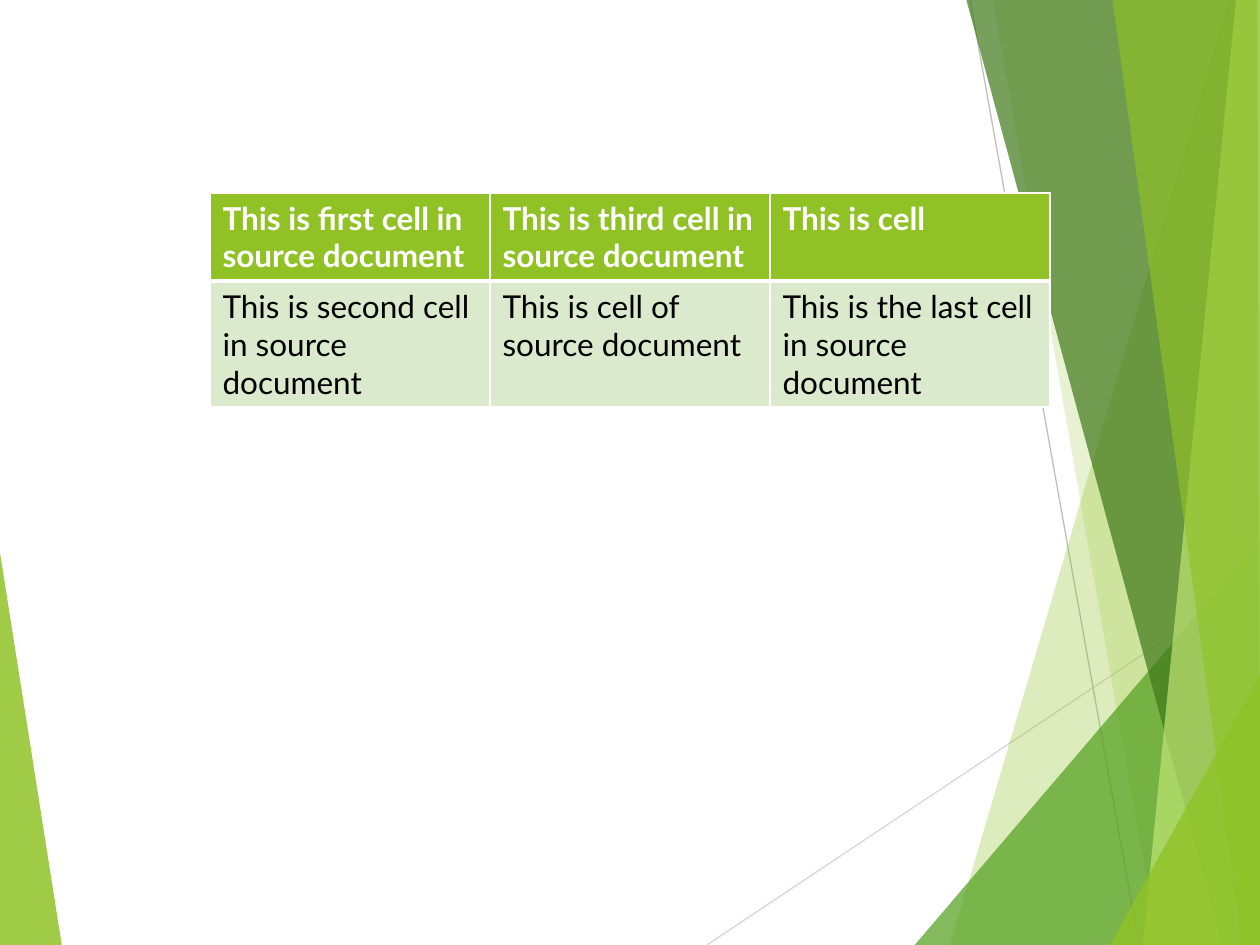
from dataclasses import dataclass
from lxml import etree
from pptx import Presentation
from pptx import util as u
from pptx.dml.color import RGBColor
from pptx.enum import shapes
from pptx.oxml import ns

LIME = "90C226"
WHITE = "FFFFFF"
FONT = "Lato"
Point = tuple[float, float]


@dataclass(frozen=True)
class Facet:
    corners: tuple[Point, ...]
    colour: str
    opacity: int


@dataclass(frozen=True)
class Ray:
    start: Point
    end: Point
    colour: str


@dataclass(frozen=True)
class RowStyle:
    texts: tuple[str, ...]
    fill: str
    colour: str
    bold: bool
    bottom_border: float


LEFT_FACET = Facet(((0, 58.5), (4.9, 100), (0, 100)), LIME, 85)
RAYS = (
    Ray((56.1, 100), (100, 61), "D9D9D9"),
    Ray((77, 0), (90.4, 100), "BFBFBF"),
)
RIGHT_FACETS = (
    Facet(((97.5, 0), (75.4, 100), (100, 100), (100, 0)), LIME, 30),
    Facet(((78.8, 0), (91.9, 100), (100, 100), (100, 0)), LIME, 20),
    Facet(((72.6, 100), (100, 57.2), (100, 100)), "54A021", 72),
    Facet(((76.7, 0), (97, 100), (100, 100), (100, 0)), "3F7819", 70),
    Facet(((98.1, 0), (90.7, 100), (100, 100), (100, 0)), "C0E474", 70),
    Facet(((88.3, 0), (98.6, 100), (100, 100), (99.8, 0)), LIME, 65),
    Facet(((88.1, 100), (100, 71.4), (100, 100)), LIME, 80),
)
ROWS = (
    RowStyle(("This is first cell in source document",
              "This is third cell in source document",
              "This is cell"), LIME, WHITE, True, 3),
    RowStyle(("This is second cell in source document",
              "This is cell of source document",
              "This is the last cell in source document"), "DBE9CD", "000000", False, 1),
)

presentation = Presentation()
presentation.slide_width = u.Inches(10)
presentation.slide_height = u.Inches(7.5)
slide = presentation.slides.add_slide(presentation.slide_layouts[6])


def rgb(colour: str) -> RGBColor:
    return RGBColor.from_string(colour)


def locate(point: Point) -> tuple[int, int]:
    across, down = point
    return (round(presentation.slide_width * across / 100),
            round(presentation.slide_height * down / 100))


def draw_facet(facet: Facet) -> None:
    first, *others = map(locate, facet.corners)
    builder = slide.shapes.build_freeform(*first)
    builder.add_line_segments(others, close=True)
    shape = builder.convert_to_shape()
    shape.shadow.inherit = False
    shape.fill.solid()
    shape.fill.fore_color.rgb = rgb(facet.colour)
    shape.line.fill.background()
    colour = shape.fill._xPr.find(".//" + ns.qn("a:srgbClr"))
    etree.SubElement(colour, ns.qn("a:alpha"), val=str(facet.opacity * 1000))


def draw_ray(ray: Ray) -> None:
    connector = slide.shapes.add_connector(
        shapes.MSO_CONNECTOR.STRAIGHT, *locate(ray.start), *locate(ray.end))
    connector.line.color.rgb = rgb(ray.colour)
    connector.line.width = u.Pt(0.75)
    etree.SubElement(connector._element.spPr, ns.qn("a:effectLst"))


def set_borders(cell, bottom: float, top: float) -> None:
    properties = cell._tc.get_or_add_tcPr()
    for index, (side, width) in enumerate(
            (("lnL", 1), ("lnR", 1), ("lnT", top), ("lnB", bottom))):
        line = etree.Element(ns.qn(f"a:{side}"), w=str(u.Pt(width)))
        fill = etree.SubElement(line, ns.qn("a:solidFill"))
        etree.SubElement(fill, ns.qn("a:srgbClr"), val=WHITE)
        properties.insert(index, line)


def draw_table(rows: tuple[RowStyle, ...]) -> None:
    left, top = locate((100 / 6, 20.4))
    width, height = locate((200 / 3, 80 / 3))
    frame = slide.shapes.add_table(len(rows), len(rows[0].texts), left, top, width, height)
    table = frame.table
    top_border = 1
    for row, style in zip(table.rows, rows):
        row.height = u.Inches(0.41)
        for cell, words in zip(row.cells, style.texts):
            cell.fill.solid()
            cell.fill.fore_color.rgb = rgb(style.fill)
            set_borders(cell, style.bottom_border, top_border)
            cell.text_frame.text = words
            font = cell.text_frame.paragraphs[0].runs[0].font
            font.name = FONT
            font.size = u.Pt(18)
            font.bold = style.bold
            font.color.rgb = rgb(style.colour)
        top_border = style.bottom_border
    frame.height = height


draw_facet(LEFT_FACET)
for ray in RAYS:
    draw_ray(ray)
for facet in RIGHT_FACETS:
    draw_facet(facet)
draw_table(ROWS)
presentation.save("out.pptx")
